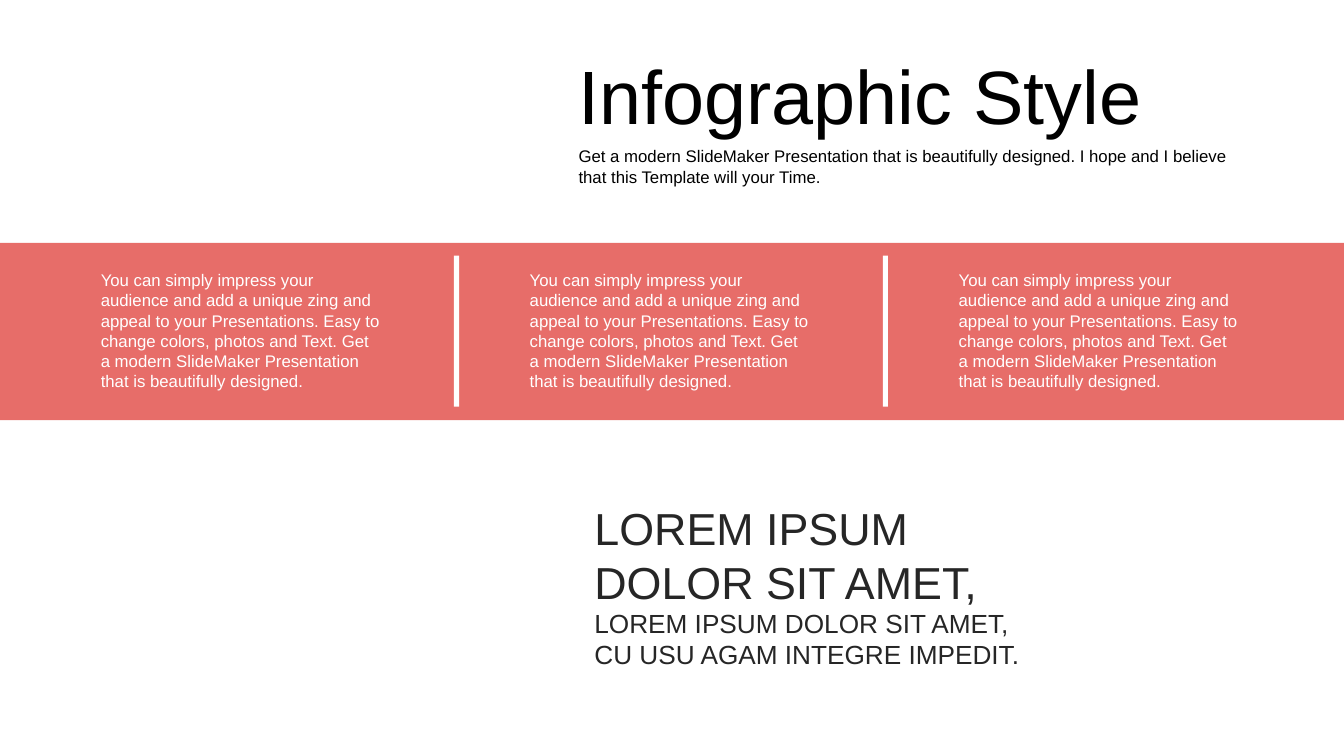
import pptx
import pptx.dml.color
import pptx.enum.shapes
import pptx.enum.text
import pptx.util
from lxml import etree

Cm = pptx.util.Cm
ANCHOR = pptx.enum.text.MSO_ANCHOR
COLORS = {"band": "DE302A", "white": "FFFFFF", "title": "000000", "closing": "262626"}
FORMATS = {
    "title": {"size": 54, "color": "title", "anchor": ANCHOR.MIDDLE},
    "subtitle": {"size": 12, "color": "title", "anchor": ANCHOR.TOP},
    "column": {"size": 12, "color": "white", "anchor": ANCHOR.TOP},
    "headline": {"size": 32, "color": "closing", "anchor": ANCHOR.MIDDLE},
    "tagline": {"size": 18.7, "color": "closing", "anchor": ANCHOR.MIDDLE},
}
COLUMN_TEXT = (
    "You can simply impress your audience and add a unique zing and appeal to your "
    "Presentations. Easy to change colors, photos and Text. Get a modern SlideMaker "
    "Presentation that is beautifully designed."
)
SUBTITLE = (
    "Get a modern SlideMaker Presentation that is beautifully designed. "
    "I hope and I believe that this Template will your Time."
)


def rgb(name):
    return pptx.dml.color.RGBColor.from_string(COLORS[name])


def add_text(slide, box, lines, style):
    look = FORMATS[style]
    frame = slide.shapes.add_textbox(*map(Cm, box)).text_frame
    frame_format = {
        "word_wrap": True,
        "auto_size": pptx.enum.text.MSO_AUTO_SIZE.SHAPE_TO_FIT_TEXT,
        "vertical_anchor": look["anchor"],
    }
    for attribute, value in frame_format.items():
        setattr(frame, attribute, value)
    frame.text = "\n".join(lines)
    font_format = {"name": "Arial", "size": pptx.util.Pt(look["size"])}
    for paragraph in frame.paragraphs:
        for run in paragraph.runs:
            for attribute, value in font_format.items():
                setattr(run.font, attribute, value)
            run.font.color.rgb = rgb(look["color"])


def add_bar(slide, box, color):
    bar = slide.shapes.add_shape(pptx.enum.shapes.MSO_SHAPE.RECTANGLE, *map(Cm, box))
    bar.shadow.inherit = False
    bar.fill.solid()
    bar.fill.fore_color.rgb = rgb(color)
    bar.line.fill.background()
    return bar


def set_opacity(bar, percent):
    tag = pptx.oxml.ns.qn("a:srgbClr")
    color = next(bar.fill._xPr.iter(tag))
    etree.SubElement(color, pptx.oxml.ns.qn("a:alpha"), val=str(percent * 1000))


def add_heading(slide, box):
    left, top, width, height = box
    add_text(slide, (left, top, width, 2.57), ["Infographic Style"], "title")
    add_text(slide, (left, top + 2.47, width - 0.08, height - 2.47), [SUBTITLE], "subtitle")


def add_band(slide, box, columns=3, pitch=10.81):
    left, top, width, height = box
    set_opacity(add_bar(slide, box, "band"), 70)
    for index in range(columns):
        column_left = left + 2.29 + index * pitch
        add_text(slide, (column_left, top + 0.56, 7.62, 3.33), [COLUMN_TEXT], "column")
        if index < columns - 1:
            add_bar(slide, (column_left + 9.15, top + 0.32, 0.13, height - 0.66), "white")


def add_closing(slide, box):
    left, top, width, height = box
    tagline = ["LOREM IPSUM DOLOR SIT AMET,", "CU USU AGAM INTEGRE IMPEDIT."]
    add_text(slide, (left, top + 2.69, width - 1.24, height - 2.69), tagline, "tagline")
    add_text(slide, (left, top, width, 3), ["LOREM IPSUM", "DOLOR SIT AMET,"], "headline")


def main():
    deck = pptx.Presentation()
    deck.slide_width, deck.slide_height = Cm(33.87), Cm(19.05)
    slide = deck.slides.add_slide(deck.slide_layouts[6])
    add_heading(slide, (14.33, 1.09, 17.2, 3.74))
    add_band(slide, (0, 6.12, 33.87, 4.47))
    add_closing(slide, (14.73, 12.47, 17.93, 4.54))
    deck.save("out.pptx")


if __name__ == "__main__":
    main()
